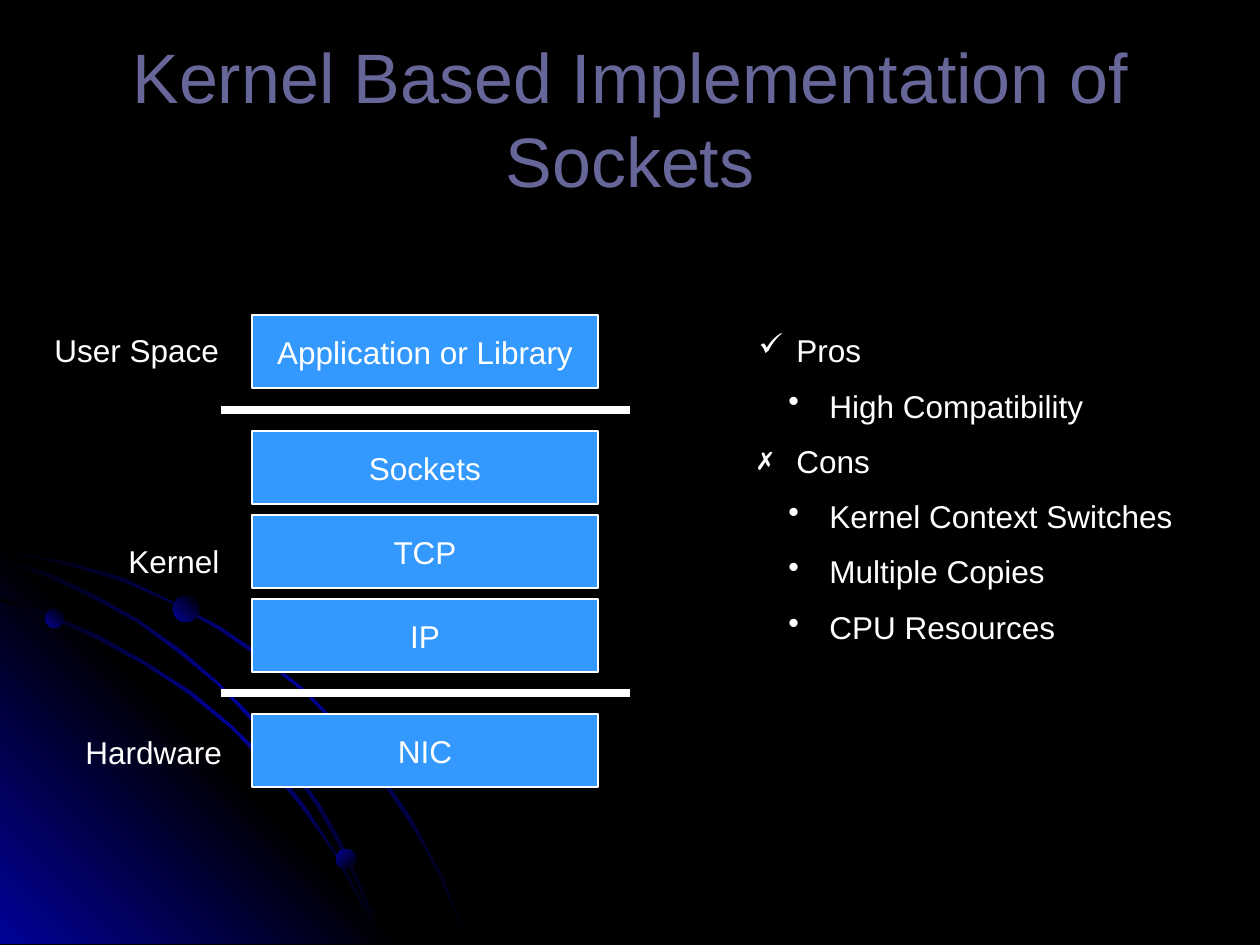
from dataclasses import dataclass

import lxml.etree
import pptx
import pptx.dml.color
import pptx.enum.shapes
import pptx.enum.text
import pptx.oxml
import pptx.oxml.ns
import pptx.util

EMU_PER_PX = 914400 / 126
BLACK = pptx.dml.color.RGBColor(0x00, 0x00, 0x00)
WHITE = pptx.dml.color.RGBColor(0xFF, 0xFF, 0xFF)
NAVY = pptx.dml.color.RGBColor(0x01, 0x01, 0x99)
SKY = pptx.dml.color.RGBColor(0x33, 0x99, 0xFF)
SLATE = pptx.dml.color.RGBColor(0x66, 0x66, 0x99)
ALIGN = pptx.enum.text.PP_ALIGN
ANCHOR = pptx.enum.text.MSO_ANCHOR
PRESET = pptx.enum.shapes.MSO_SHAPE

BODY_FONT = {"name": "Arial", "size": pptx.util.Pt(18)}
TITLE_FONT = {"name": "Arial", "size": pptx.util.Pt(40)}

LAYER_LEFT, LAYER_WIDTH, LAYER_HEIGHT = 252, 346, 73
DIVIDER_LEFT, DIVIDER_RIGHT = 221, 630
DIVIDER_TOPS = (410, 693)


@dataclass
class Layer:
    name: str
    top: int


@dataclass
class Label:
    text: str
    left: int
    top: int
    width: int
    height: int = 50


@dataclass
class Planet:
    left: int
    top: int
    size: int
    angle: int


@dataclass
class Bullet:
    mark: str
    text: str
    level: int = 0


LAYERS = [
    Layer("Application or Library", 315),
    Layer("Sockets", 431),
    Layer("TCP", 515),
    Layer("IP", 599),
    Layer("NIC", 714),
]
LABELS = [
    Label("User Space", 42, 325, 199),
    Label("Kernel", 116, 536, 126),
    Label("Hardware", 73, 727, 168),
]
BULLETS = [
    Bullet("✓", "Pros"),
    Bullet("•", "High Compatibility", 1),
    Bullet("✗", "Cons"),
    Bullet("•", "Kernel Context Switches", 1),
    Bullet("•", "Multiple Copies", 1),
    Bullet("•", "CPU Resources", 1),
]
# Left margin and hanging indent of each bullet level
BULLET_INDENTS = ((38, -38), (71, -41))

PLANETS = [Planet(45, 609, 19, 315), Planet(336, 849, 20, 45), Planet(173, 596, 26, 315)]
GLOW = [(406, 944), (0, 944), (0, 538)]
OUTER_ORBIT = [
    (72, 563), (35, 556), (0, 548), (0, 552), (35, 558), (71, 566), (122, 581), (170, 602),
    (218, 629), (262, 659), (304, 692), (341, 730), (375, 771), (407, 818), (425, 848),
    (441, 879), (454, 911), (466, 944), (469, 944), (456, 911), (444, 879), (427, 848),
    (410, 816), (378, 770), (343, 728), (305, 690), (263, 656), (219, 626), (171, 601),
    (123, 578),
]
INNER_ORBIT = [
    (359, 900), (370, 922), (379, 944), (382, 944), (373, 920), (360, 897), (335, 852),
    (305, 806), (271, 764), (232, 726), (192, 692), (147, 663), (100, 636), (52, 615),
    (0, 598), (0, 601), (49, 617), (97, 639), (145, 665), (189, 694), (231, 728),
    (268, 766), (302, 808), (334, 853),
]
MIDDLE_ORBIT = [
    (0, 557), (0, 559), (45, 576), (93, 598), (137, 622), (179, 653), (218, 685), (255, 724),
    (286, 762), (318, 808), (336, 840), (353, 874), (368, 910), (379, 944), (382, 944),
    (370, 907), (355, 873), (339, 838), (320, 805), (289, 760), (257, 722), (220, 684),
    (181, 650), (140, 621), (96, 596), (49, 573),
]


def px(length: int) -> pptx.util.Emu:
    return pptx.util.Emu(round(length * EMU_PER_PX))


def apply_format(target, values: dict) -> None:
    for attribute, value in values.items():
        setattr(target, attribute, value)


def write(paragraph, text: str, font: dict, color=WHITE) -> None:
    paragraph.text = text
    run_font = paragraph.runs[0].font
    apply_format(run_font, font)
    run_font.color.rgb = color


def fill_gradient(shape, colors: tuple, angle: int) -> None:
    """Fill with evenly spaced colours; the angle runs clockwise in degrees."""
    shape.shadow.inherit = False
    shape.line.fill.background()
    stops = "".join(
        f'<a:gs pos="{100000 * i // (len(colors) - 1)}"><a:srgbClr val="{color}"/></a:gs>'
        for i, color in enumerate(colors)
    )
    gradient = pptx.oxml.parse_xml(
        f'<a:gradFill {pptx.oxml.ns.nsdecls("a")} rotWithShape="1"><a:gsLst>{stops}</a:gsLst>'
        f'<a:lin ang="{angle * 60000}" scaled="0"/></a:gradFill>'
    )
    shape.element.spPr.find(pptx.oxml.ns.qn("a:prstGeom")
                            if shape.element.spPr.find(pptx.oxml.ns.qn("a:prstGeom")) is not None
                            else pptx.oxml.ns.qn("a:custGeom")).addnext(gradient)


def draw_outline(slide, points: list, colors: tuple, angle: int) -> None:
    builder = slide.shapes.build_freeform(*points[0], scale=EMU_PER_PX)
    builder.add_line_segments(points[1:], close=True)
    fill_gradient(builder.convert_to_shape(), colors, angle)


def draw_planet(slide, planet: Planet) -> None:
    ball = slide.shapes.add_shape(
        PRESET.OVAL, px(planet.left), px(planet.top), px(planet.size), px(planet.size))
    fill_gradient(ball, (NAVY, BLACK), planet.angle)


def draw_layer(slide, layer: Layer) -> None:
    box = slide.shapes.add_shape(
        PRESET.RECTANGLE, px(LAYER_LEFT), px(layer.top), px(LAYER_WIDTH), px(LAYER_HEIGHT))
    box.shadow.inherit = False
    box.fill.solid()
    box.fill.fore_color.rgb = SKY
    box.line.color.rgb = WHITE
    box.line.width = pptx.util.Pt(0.75)
    apply_format(box.text_frame, {"word_wrap": False, "vertical_anchor": ANCHOR.MIDDLE})
    paragraph = box.text_frame.paragraphs[0]
    paragraph.alignment = ALIGN.CENTER
    write(paragraph, layer.name, BODY_FONT)


def draw_divider(slide, top: int) -> None:
    divider = slide.shapes.add_connector(
        pptx.enum.shapes.MSO_CONNECTOR.STRAIGHT,
        px(DIVIDER_LEFT), px(top), px(DIVIDER_RIGHT), px(top))
    divider.line.color.rgb = WHITE
    divider.line.width = pptx.util.Pt(4.5)
    lxml.etree.SubElement(divider.element.spPr, pptx.oxml.ns.qn("a:effectLst"))


def add_text_frame(slide, left: int, top: int, width: int, height: int):
    frame = slide.shapes.add_textbox(px(left), px(top), px(width), px(height)).text_frame
    frame.word_wrap = True
    return frame


def draw_label(slide, label: Label) -> None:
    frame = add_text_frame(slide, label.left, label.top, label.width, label.height)
    write(frame.paragraphs[0], label.text, BODY_FONT)


def draw_title(slide, text: str) -> None:
    frame = add_text_frame(slide, 63, 38, 1134, 158)
    frame.vertical_anchor = ANCHOR.MIDDLE
    frame.paragraphs[0].alignment = ALIGN.CENTER
    write(frame.paragraphs[0], text, TITLE_FONT, SLATE)


def draw_bullets(slide, bullets: list) -> None:
    frame = add_text_frame(slide, 746, 325, 472, 335)
    for index, bullet in enumerate(bullets):
        paragraph = frame.add_paragraph() if index else frame.paragraphs[0]
        properties = paragraph._p.get_or_add_pPr()
        margin, indent = BULLET_INDENTS[bullet.level]
        properties.set("marL", str(px(margin)))
        properties.set("indent", str(px(indent)))
        mark = lxml.etree.SubElement(properties, pptx.oxml.ns.qn("a:buChar"))
        mark.set("char", bullet.mark)
        paragraph.level = bullet.level
        if index:
            paragraph.space_before = pptx.util.Pt(10)
        write(paragraph, bullet.text, BODY_FONT)


def main() -> None:
    deck = pptx.Presentation()
    apply_format(deck, {"slide_width": px(1260), "slide_height": px(945)})
    slide = deck.slides.add_slide(deck.slide_layouts[6])
    slide.background.fill.solid()
    slide.background.fill.fore_color.rgb = BLACK

    draw_outline(slide, OUTER_ORBIT, (BLACK, NAVY, BLACK), 45)
    draw_outline(slide, GLOW, (NAVY, BLACK, NAVY), 315)
    for orbit in (INNER_ORBIT, MIDDLE_ORBIT):
        draw_outline(slide, orbit, (BLACK, NAVY, BLACK), 45)
    for planet in PLANETS:
        draw_planet(slide, planet)

    draw_title(slide, "Kernel Based Implementation of Sockets")
    for layer in LAYERS:
        draw_layer(slide, layer)
    for top in DIVIDER_TOPS:
        draw_divider(slide, top)
    for label in LABELS:
        draw_label(slide, label)
    draw_bullets(slide, BULLETS)
    deck.save("out.pptx")


if __name__ == "__main__":
    main()
